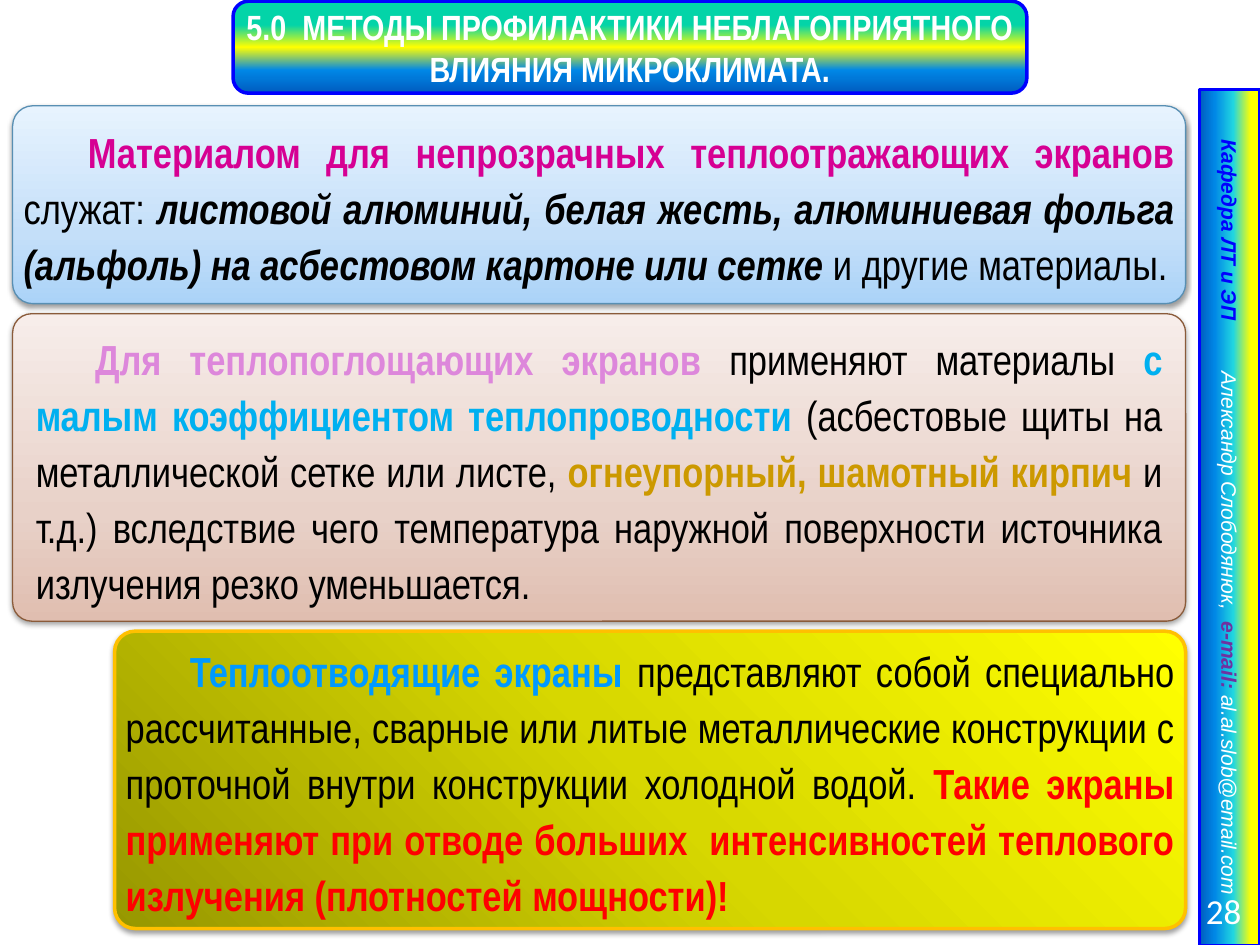
from dataclasses import dataclass

from lxml.etree import SubElement
from pptx import Presentation
from pptx.dml.color import RGBColor
from pptx.enum.shapes import MSO_SHAPE
from pptx.enum.text import MSO_ANCHOR, PP_ALIGN
from pptx.oxml.ns import qn
from pptx.util import Inches, Pt


@dataclass(frozen=True)
class Theme:
    """Colours, gradients, fonts and type sizes of the slide."""
    black: str = "000000"
    white: str = "FFFFFF"
    blue: str = "0000FF"
    magenta: str = "D60093"
    orchid: str = "DD87DB"
    sky: str = "00B0F0"
    ochre: str = "CC9900"
    azure: str = "0099FF"
    red: str = "FF0000"
    purple: str = "7030A0"
    ice: tuple = ((0, "ABD3F8"), (35, "C4DFF9"), (100, "E7F3FE"))
    clay: tuple = ((0, "E0BEB0"), (35, "E8D1C8"), (100, "F7EDEA"))
    gold: tuple = ((0, "979700"), (50, "D7D700"), (100, "FFFF00"))
    banner: tuple = ((26, "03D4A8"), (50, "FFFF00"), (75, "0087E6"), (100, "005CBF"))
    strip: tuple = ((15, "FFFF00"), (44, "21D6E0"), (75, "0087E6"), (100, "005CBF"))
    ice_line: str = "588FB3"
    clay_line: str = "8A5B3A"
    gold_line: str = "FFC000"
    narrow: str = "Arial Narrow"
    sans: str = "Arial"
    digits: str = "Calibri"
    body_size: int = 24
    title_size: int = 20
    credit_size: int = 12


THEME = Theme()


def add_panel(slide, preset, box, stops, angle, line):
    """Add a gradient shape whose angle is counted counter-clockwise."""
    panel = slide.shapes.add_shape(preset, *map(Inches, box))
    panel.shadow.inherit = False
    panel.fill.gradient()
    panel.fill.gradient_angle = angle
    stop_list = panel.fill._xPr.find(qn("a:gradFill")).find(qn("a:gsLst"))
    for old_stop in list(stop_list):
        stop_list.remove(old_stop)
    for position, color in stops:
        stop = SubElement(stop_list, qn("a:gs"), pos=str(position * 1000))
        SubElement(stop, qn("a:srgbClr"), val=color)
    color, width = line
    panel.line.color.rgb = RGBColor.from_string(color)
    panel.line.width = Pt(width)
    return panel


def add_shadow(panel):
    """Give a panel a soft shadow below it."""
    effects = panel._element.spPr.find(qn("a:effectLst"))
    shadow = SubElement(effects, qn("a:outerShdw"), blurRad=str(Pt(3.1)),
                        dist=str(Pt(1.6)), dir="5400000", rotWithShape="0")
    color = SubElement(shadow, qn("a:srgbClr"), val=THEME.black)
    SubElement(color, qn("a:alpha"), val="38000")


def set_frame(shape, side, edge):
    """Wrap and centre the text vertically, and return its first paragraph."""
    frame = shape.text_frame
    frame.word_wrap = True
    frame.vertical_anchor = MSO_ANCHOR.MIDDLE
    frame.margin_left = frame.margin_right = Inches(side)
    frame.margin_top = frame.margin_bottom = Inches(edge)
    return frame.paragraphs[0]


def write_runs(paragraph, runs, font, size):
    """Write runs given as text, colour and a style of b and i letters."""
    for text, color, style in runs:
        run = paragraph.add_run()
        run.text = text
        run.font.name = font
        run.font.size = Pt(size)
        run.font.bold = "b" in style
        run.font.italic = "i" in style
        run.font.color.rgb = RGBColor.from_string(color)


def add_screen_card(slide, box, stops, angle, line, radius, indent, side, runs):
    """Add a rounded card that describes one type of heat screen."""
    card = add_panel(slide, MSO_SHAPE.ROUNDED_RECTANGLE, box, stops, angle, line)
    card.adjustments[0] = radius
    add_shadow(card)
    description = set_frame(card, side, 0.04)
    properties = description._p.get_or_add_pPr()
    properties.set("marL", "0")
    properties.set("indent", str(Inches(indent)))
    description.alignment = PP_ALIGN.JUSTIFY
    description.line_spacing = Pt(32)
    write_runs(description, runs, THEME.narrow, THEME.body_size)


def add_title(slide, box):
    """Add the title banner."""
    banner = add_panel(slide, MSO_SHAPE.ROUNDED_RECTANGLE, box, THEME.banner, 270,
                       (THEME.blue, 2))
    title = set_frame(banner, 0.04, 0.04)
    title.alignment = PP_ALIGN.CENTER
    heading = "5.0  МЕТОДЫ ПРОФИЛАКТИКИ НЕБЛАГОПРИЯТНОГО ВЛИЯНИЯ МИКРОКЛИМАТА."
    write_runs(title, [(heading, THEME.white, "b")], THEME.narrow, THEME.title_size)


def add_credit_strip(slide, box):
    """Add the vertical strip with department, author and address."""
    left, top, width, height = box
    flat_box = (left + (width - height) / 2, top + (height - width) / 2, height, width)
    strip = add_panel(slide, MSO_SHAPE.RECTANGLE, flat_box, THEME.strip, 270,
                      (THEME.blue, 2))
    strip.rotation = 90
    credit = set_frame(strip, 0.4, 0.05)
    tabs = SubElement(credit._p.get_or_add_pPr(), qn("a:tabLst"))
    SubElement(tabs, qn("a:tab"), pos=str(Inches(1.84)), algn="l")
    credit.alignment = PP_ALIGN.LEFT
    write_runs(credit, [
        ("Кафедра ЛТ и ЭП\t", THEME.blue, "bi"),
        ("Александр Слободянюк,  ", THEME.white, "i"),
        ("e-mail: ", THEME.purple, "bi"),
        ("al.al.slob@email.com", THEME.white, "i"),
    ], THEME.sans, THEME.credit_size)


def add_page_number(slide, box):
    """Add the page number at the foot of the strip."""
    number = set_frame(slide.shapes.add_textbox(*map(Inches, box)), 0.1, 0.05)
    number.alignment = PP_ALIGN.RIGHT
    write_runs(number, [("28", THEME.white, "")], THEME.digits, THEME.title_size)


def main():
    """Build and save the slide."""
    deck = Presentation()
    deck.slide_width, deck.slide_height = Inches(10), Inches(7.5)
    slide = deck.slides.add_slide(deck.slide_layouts[6])
    add_screen_card(slide, (0.1, 0.84, 9.31, 1.57), THEME.ice, 90,
                    (THEME.ice_line, 0.75), 0.102, 0.51, 0.04, [
        ("Материалом для непрозрачных теплоотражающих экранов ", THEME.magenta, "b"),
        ("служат: ", THEME.black, ""),
        ("листовой алюминий, белая жесть, алюминиевая фольга (альфоль) "
         "на асбестовом картоне или сетке ", THEME.black, "bi"),
        ("и другие материалы.", THEME.black, ""),
    ])
    add_screen_card(slide, (0.1, 2.49, 9.31, 2.44), THEME.clay, 90,
                    (THEME.clay_line, 0.75), 0.062, 0.47, 0.14, [
        ("Для теплопоглощающих экранов ", THEME.orchid, "b"),
        ("применяют материалы ", THEME.black, ""),
        ("с малым коэффициентом теплопроводности ", THEME.sky, "b"),
        ("(асбестовые щиты на металлической сетке или листе, ", THEME.black, ""),
        ("огнеупорный, шамотный кирпич ", THEME.ochre, "b"),
        ("и т.д.) вследствие чего температура наружной поверхности "
         "источника излучения резко уменьшается.", THEME.black, ""),
    ])
    add_screen_card(slide, (0.91, 5.01, 8.5, 2.36), THEME.gold, 45,
                    (THEME.gold_line, 2), 0.069, 0.51, 0.04, [
        ("Теплоотводящие экраны ", THEME.azure, "b"),
        ("представляют собой специально рассчитанные, сварные или литые "
         "металлические конструкции с проточной внутри конструкции "
         "холодной водой. ", THEME.black, ""),
        ("Такие экраны применяют при отводе больших  интенсивностей "
         "теплового излучения (плотностей мощности)!", THEME.red, "b"),
    ])
    add_title(slide, (1.85, 0.01, 6.3, 0.73))
    add_credit_strip(slide, (9.52, 0.71, 0.48, 6.8))
    add_page_number(slide, (8.86, 7.03, 1.09, 0.4))
    deck.save("out.pptx")


if __name__ == "__main__":
    main()
